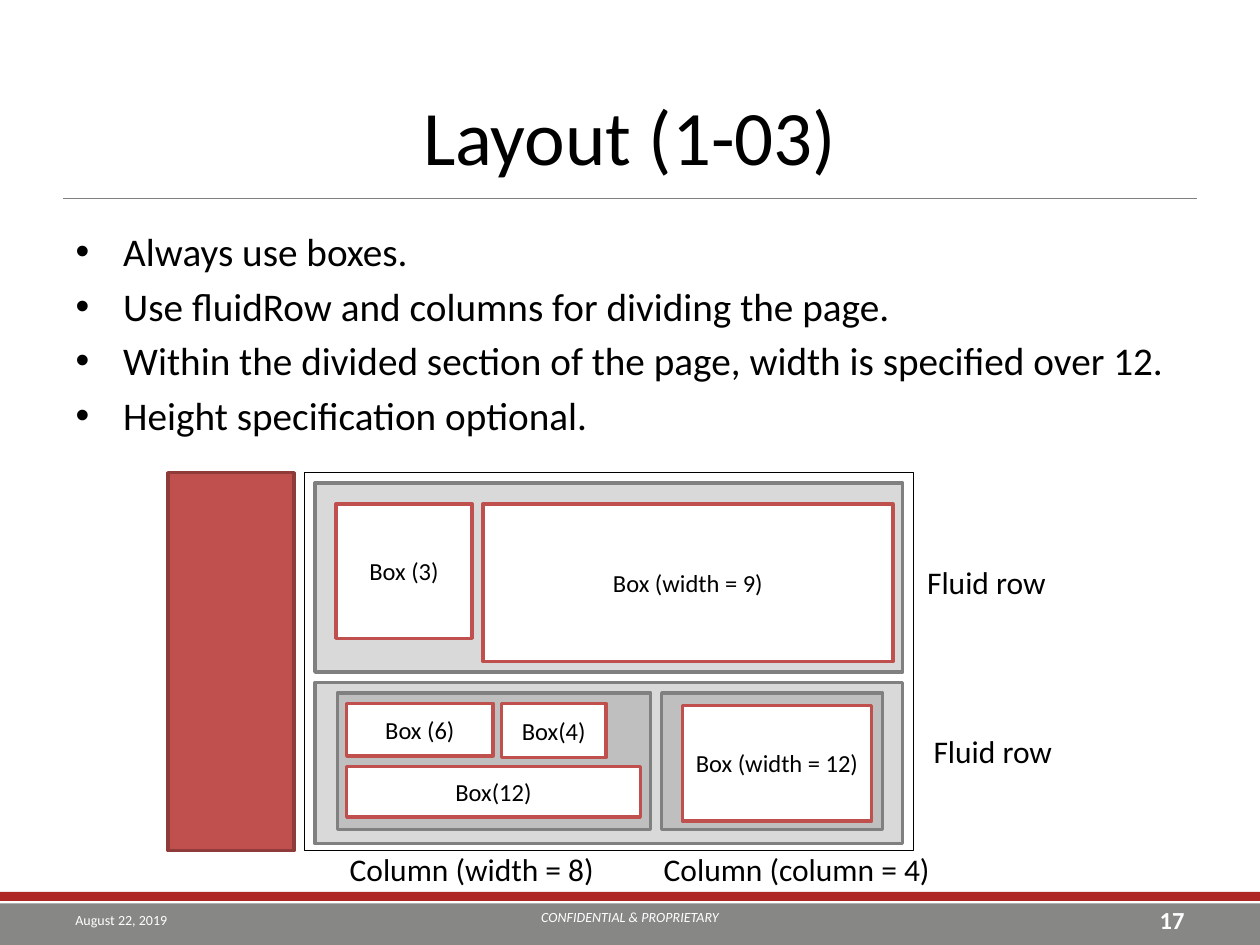
from lxml import etree
from pptx import Presentation
from pptx.dml.color import RGBColor
from pptx.enum.shapes import MSO_CONNECTOR, MSO_SHAPE
from pptx.enum.text import MSO_ANCHOR, MSO_AUTO_SIZE, PP_ALIGN
from pptx.oxml.ns import qn
from pptx.util import Cm, Pt

RECT = MSO_SHAPE.RECTANGLE
STRAIGHT = MSO_CONNECTOR.STRAIGHT
MIDDLE, TOP = MSO_ANCHOR.MIDDLE, MSO_ANCHOR.TOP
LEFT, CENTER, RIGHT = PP_ALIGN.LEFT, PP_ALIGN.CENTER, PP_ALIGN.RIGHT
NO_FIT, GROW = MSO_AUTO_SIZE.NONE, MSO_AUTO_SIZE.SHAPE_TO_FIT_TEXT

COLORS = {
    "black": "000000", "white": "FFFFFF", "red": "C0504D", "wine": "8E3B39",
    "stripe": "AF2626", "foot": "878785", "gray": "808080",
    "row": "D9D9D9", "col": "BFBFBF",
}


def color(name):
    return RGBColor.from_string(COLORS[name])


class Deck:
    font = "Calibri"

    def __init__(self):
        self.prs = Presentation()
        self.prs.slide_width, self.prs.slide_height = Cm(25.4), Cm(19.05)
        self.slide = self.prs.slides.add_slide(self.prs.slide_layouts[1])
        self.shapes = self.slide.shapes

    def style(self, frame, size, ink="black", align=LEFT, bold=False, italic=False):
        for para in frame.paragraphs:
            para.alignment = align
            for run in para.runs:
                font = run.font
                font.name, font.size = self.font, Pt(size)
                font.bold, font.italic = bold, italic
                font.color.rgb = color(ink)

    def place(self, shape, area):
        shape.left, shape.top, shape.width, shape.height = map(Cm, area)

    def title(self, text, area):
        shape = self.shapes.title
        self.place(shape, area)
        frame = shape.text_frame
        frame.text = text
        frame.auto_size, frame.vertical_anchor = NO_FIT, MIDDLE
        self.style(frame, 44, align=CENTER)

    def bullets(self, items, area, size=22.4, indent=0.96):
        shape = self.slide.placeholders[1]
        self.place(shape, area)
        frame = shape.text_frame
        frame.text = "\n".join(items)
        frame.auto_size, frame.vertical_anchor = NO_FIT, TOP
        self.style(frame, size)
        for para in frame.paragraphs:
            para.space_before = Pt(size * 0.2)
            props = para._p.get_or_add_pPr()
            props.set("marL", str(Cm(indent)))
            props.set("indent", str(-Cm(indent)))

    def rect(self, area, fill=None, line=None, width=2, text=""):
        shape = self.shapes.add_shape(RECT, *map(Cm, area))
        shape.shadow.inherit = False
        if fill:
            shape.fill.solid()
            shape.fill.fore_color.rgb = color(fill)
        else:
            shape.fill.background()
        if line:
            shape.line.color.rgb = color(line)
            shape.line.width = Pt(width)
        else:
            shape.line.fill.background()
        if text:
            frame = shape.text_frame
            frame.text = text
            frame.margin_left = frame.margin_right = 0
            frame.vertical_anchor = MIDDLE
            self.style(frame, 14, align=CENTER)

    def box(self, text, area):
        self.rect(area, "white", "red", text=text)

    def rule(self, left, right, top):
        line = self.shapes.add_connector(STRAIGHT, Cm(left), Cm(top), Cm(right), Cm(top))
        line.line.color.rgb = color("gray")
        line.line.width = Pt(0.5)
        etree.SubElement(line._element.spPr, qn("a:effectLst"))

    def label(self, text, area):
        frame = self.shapes.add_textbox(*map(Cm, area)).text_frame
        frame.text = text
        frame.word_wrap, frame.auto_size = False, GROW
        self.style(frame, 18)

    def foot(self, text, area, size, align, **marks):
        frame = self.shapes.add_textbox(*map(Cm, area)).text_frame
        frame.text = text
        frame.word_wrap, frame.vertical_anchor = True, MIDDLE
        self.style(frame, size, "white", align, **marks)


def main():
    deck = Deck()
    deck.rect((0, 17.98, 25.4, 0.18), "stripe")
    deck.rect((0, 18.21, 25.4, 0.84), "foot")
    deck.rule(1.27, 24.13, 4.01)

    deck.title("Layout (1-03)", (1.27, 1.52, 22.86, 2.41))
    deck.bullets([
        "Always use boxes.",
        "Use fluidRow and columns for dividing the page.",
        "Within the divided section of the page, width is specified over 12.",
        "Height specification optional.",
    ], (1.27, 4.45, 22.66, 4.88))

    deck.foot("17", (18.21, 18.03, 5.92, 1.02), 14, RIGHT, bold=True)
    deck.foot("CONFIDENTIAL & PROPRIETARY", (8.68, 17.98, 8.05, 1.02), 8, CENTER, italic=True)
    deck.foot("August 22, 2019", (1.27, 18.03, 5.92, 1.02), 8, LEFT)

    deck.rect((6.14, 9.53, 12.28, 7.62), line="black", width=0.75)
    deck.rect((3.39, 9.53, 2.54, 7.62), "red", "wine")
    for top, height in ((9.74, 3.81), (13.76, 3.25)):
        deck.rect((6.35, top, 11.85, height), "row", "gray")
    for left, width in ((6.8, 6.32), (13.34, 4.45)):
        deck.rect((left, 13.97, width, 2.75), "col", "gray")

    for text, area in (
        ("Box (3)", (6.77, 10.16, 2.75, 2.71)),
        ("Box (width = 9)", (9.74, 10.16, 8.26, 3.18)),
        ("Box (6)", (6.99, 14.18, 2.95, 1.06)),
        ("Box(4)", (10.11, 14.18, 2.11, 1.09)),
        ("Box(12)", (6.99, 15.45, 5.92, 1.02)),
        ("Box (width = 12)", (13.76, 14.22, 3.81, 2.33)),
    ):
        deck.box(text, area)

    for text, area in (
        ("Fluid row", (18.44, 11.23, 2.92, 1.02)),
        ("Fluid row", (18.57, 14.63, 2.92, 1.02)),
        ("Column (width = 8)", (6.8, 17.02, 5.51, 1.02)),
        ("Column (column = 4)", (13.13, 17.02, 5.94, 1.02)),
    ):
        deck.label(text, area)

    deck.prs.save("out.pptx")


if __name__ == "__main__":
    main()
